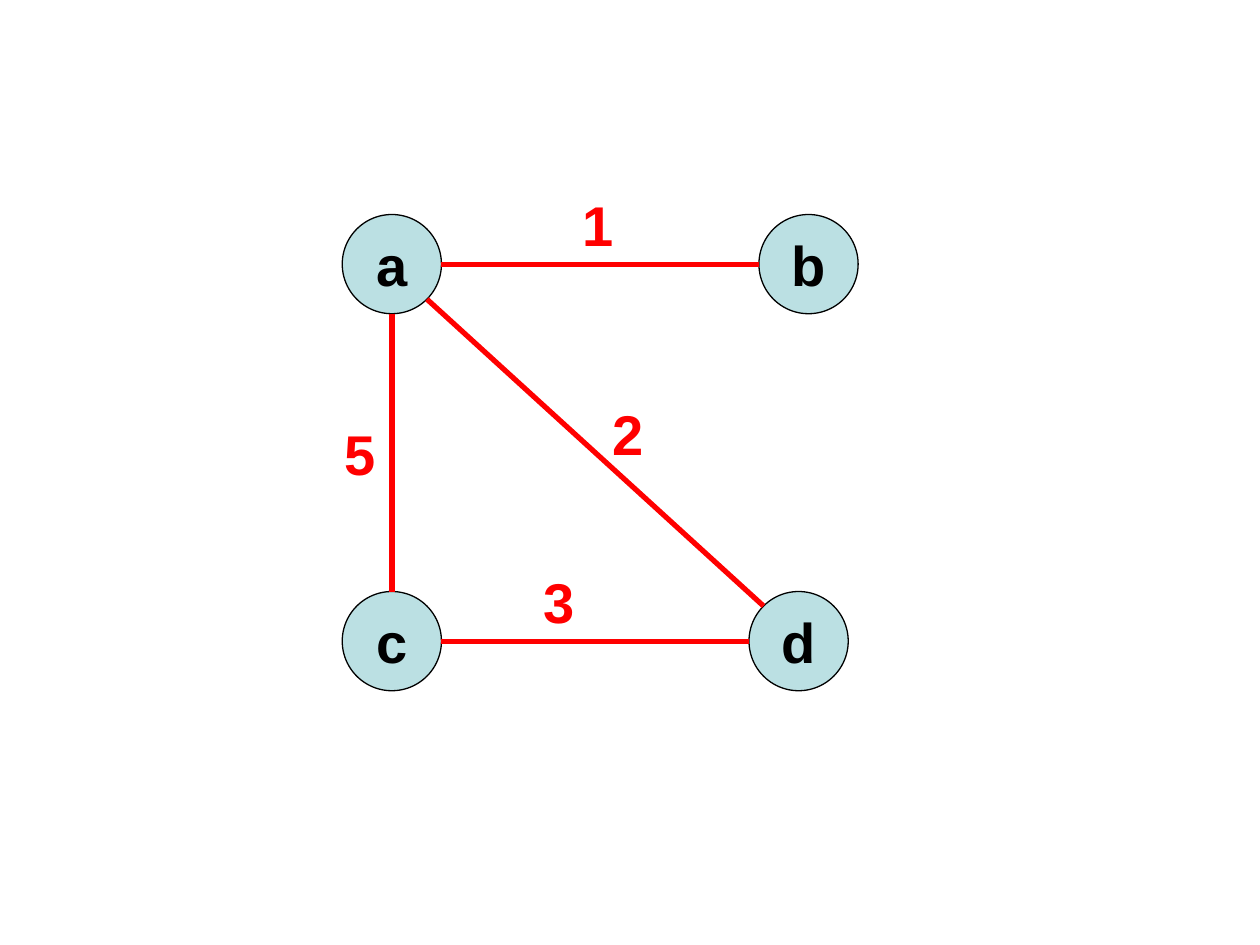
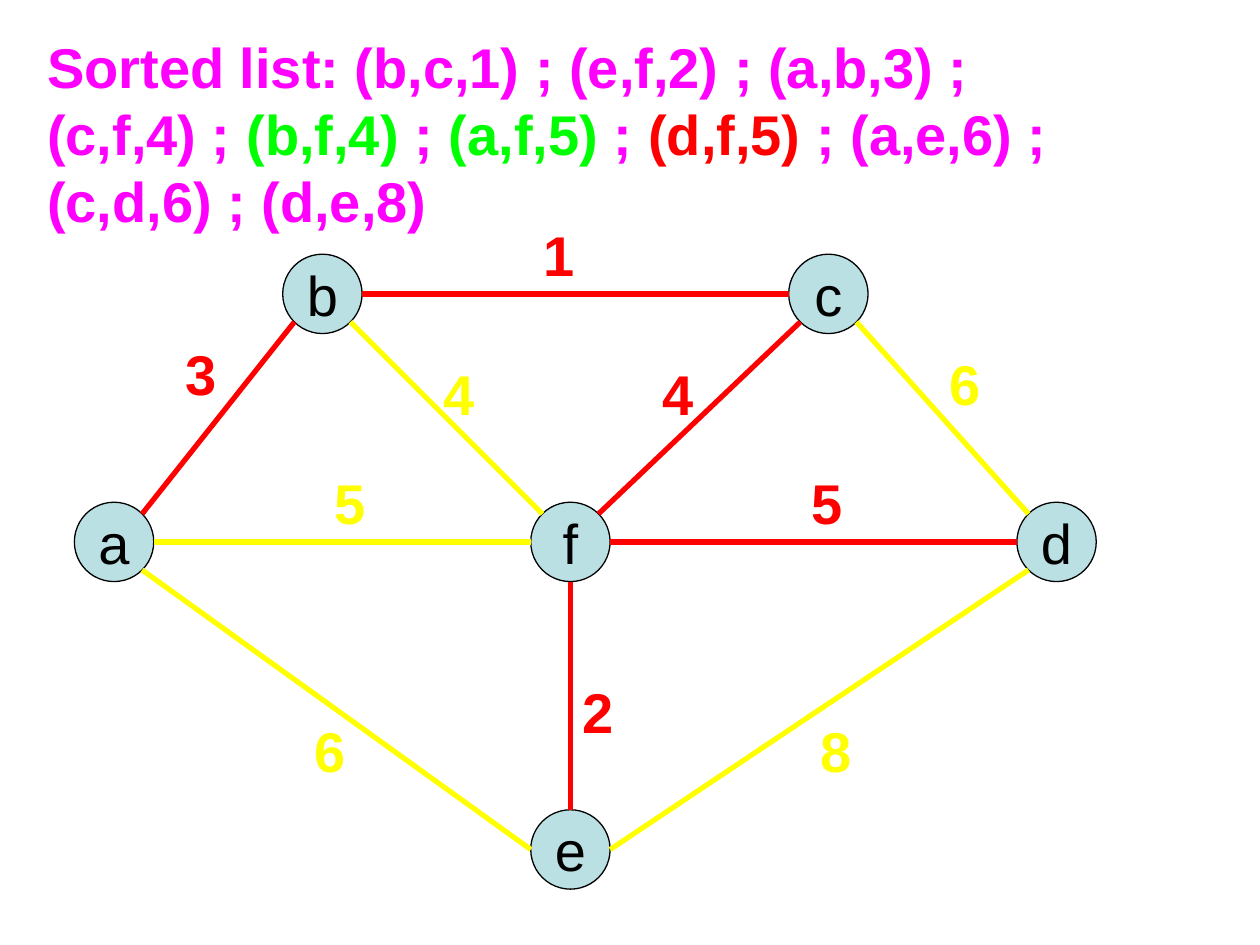
from math import sqrt

from lxml import etree
from pptx import Presentation
from pptx import util as u
from pptx.dml.color import RGBColor
from pptx.enum import shapes, text
from pptx.oxml.ns import qn

# Shared style
FONT = "Arial"
FONT_SIZE = u.Pt(32)
NODE_FILL = RGBColor(0xBB, 0xE0, 0xE3)
BLACK = RGBColor(0, 0, 0)
RED = RGBColor(0xFF, 0, 0)
YELLOW = RGBColor(0xFF, 0xFF, 0)
MAGENTA = RGBColor(0xFF, 0, 0xFF)
GREEN = RGBColor(0, 0xFF, 0)

# Grid of one-millimetre cells: 254 columns across the slide
SLIDE_WIDTH, SLIDE_HEIGHT = u.Inches(10), u.Inches(7.5)
CELL = SLIDE_WIDTH / 254
FIRST_ROW = 0.25
LABEL_HEIGHT = 16.25

# Points on a circle's rim, by compass direction
DIAGONAL = 1 / sqrt(2)
RIM = {
    "N": (0, -1), "S": (0, 1), "W": (-1, 0), "E": (1, 0),
    "NW": (-DIAGONAL, -DIAGONAL), "NE": (DIAGONAL, -DIAGONAL),
    "SW": (-DIAGONAL, DIAGONAL), "SE": (DIAGONAL, DIAGONAL),
}


def columns(count):
    return u.Emu(round(count * CELL))


def row_top(row):
    return columns(row + FIRST_ROW)


def format_run(run, color, bold):
    run.font.name = FONT
    run.font.size = FONT_SIZE
    run.font.bold = bold
    run.font.color.rgb = color


def add_node(slide, name, center, radius, bold):
    column, row = center
    node = slide.shapes.add_shape(
        shapes.MSO_SHAPE.OVAL, columns(column - radius), row_top(row - radius),
        columns(2 * radius), columns(2 * radius))
    node.shadow.inherit = False
    node.fill.solid()
    node.fill.fore_color.rgb = NODE_FILL
    node.line.color.rgb = BLACK
    node.line.width = u.Pt(0.75)
    frame = node.text_frame
    frame.text = name
    frame.word_wrap = False
    frame.vertical_anchor = text.MSO_ANCHOR.MIDDLE
    paragraph = frame.paragraphs[0]
    paragraph.alignment = text.PP_ALIGN.CENTER
    format_run(paragraph.runs[0], BLACK, bold)


def rim_point(center, radius, direction):
    across, down = RIM[direction]
    return (columns(center[0] + radius * across),
            row_top(center[1] + radius * down))


def add_edge(slide, start, end, color):
    edge = slide.shapes.add_connector(
        shapes.MSO_CONNECTOR.STRAIGHT, *start, *end)
    edge.line.color.rgb = color
    edge.line.width = u.Pt(3)
    etree.SubElement(edge._element.spPr, qn("a:effectLst"))


def add_text(slide, corner, width, height, parts):
    """Add a bold text box; parts is a list of (wording, color)."""
    box = slide.shapes.add_textbox(
        columns(corner[0]), row_top(corner[1]), columns(width), columns(height))
    frame = box.text_frame
    frame.word_wrap = True
    frame.auto_size = text.MSO_AUTO_SIZE.SHAPE_TO_FIT_TEXT
    for wording, color in parts:
        run = frame.paragraphs[0].add_run()
        run.text = wording
        format_run(run, color, True)
    return box


def add_graph(slide, nodes, edges, radius, label_width, bold=False):
    """Edges: start, rim side, end, rim side, weight, label corner, color."""
    for name, center in nodes.items():
        add_node(slide, name, center, radius, bold)
    for start, start_side, end, end_side, weight, corner, color in edges:
        add_edge(slide, rim_point(nodes[start], radius, start_side),
                 rim_point(nodes[end], radius, end_side), color)
        add_text(slide, corner, label_width, LABEL_HEIGHT, [(weight, color)])


def build_small_graph(slide):
    nodes = {"a": (79, 53), "b": (163, 53), "c": (79, 129), "d": (161, 129)}
    edges = [
        ("a", "S", "c", "N", "5", (67, 83), RED),
        ("a", "SE", "d", "NW", "2", (121, 79), RED),
        ("d", "W", "c", "E", "3", (107, 113), RED),
        ("a", "E", "b", "W", "1", (115, 37), RED),
    ]
    add_graph(slide, nodes, edges, radius=10, label_width=18, bold=True)


def build_sorted_graph(slide):
    nodes = {"b": (65, 59), "c": (167, 59), "a": (23, 109),
             "d": (213, 109), "f": (115, 109), "e": (115, 171)}
    edges = [
        ("f", "NW", "b", "SE", "4", (87, 71), YELLOW),
        ("f", "NE", "c", "SW", "4", (131, 71), RED),
        ("a", "NE", "b", "SW", "3", (35, 67), RED),
        ("c", "W", "b", "E", "1", (107, 43), RED),
        ("f", "E", "d", "W", "5", (161, 93), RED),
        ("a", "E", "f", "W", "5", (65, 93), YELLOW),
        ("e", "E", "d", "SW", "8", (163, 143), YELLOW),
        ("e", "W", "a", "SE", "6", (61, 143), YELLOW),
        ("e", "N", "f", "S", "2", (115, 135), RED),
        ("c", "SE", "d", "NW", "6", (189, 69), YELLOW),
    ]
    add_graph(slide, nodes, edges, radius=8, label_width=11.5)

    # Edges in order of weight
    sorted_list = add_text(slide, (7, 5), 224, 43, [
        ("Sorted list: (b,c,1) ; (e,f,2) ; (a,b,3) ; (c,f,4) ; ", MAGENTA),
        ("(b,f,4)", GREEN), (" ; ", MAGENTA),
        ("(a,f,5)", GREEN), (" ; ", MAGENTA),
        ("(d,f,5)", RED), (" ; (a,e,6) ; (c,d,6) ; (d,e,8)", MAGENTA),
    ])
    sorted_list.text_frame.margin_right = u.Inches(0.25)


def main():
    presentation = Presentation()
    presentation.slide_width = SLIDE_WIDTH
    presentation.slide_height = SLIDE_HEIGHT
    blank_layout = presentation.slide_layouts[6]
    for build in (build_small_graph, build_sorted_graph):
        build(presentation.slides.add_slide(blank_layout))
    presentation.save("out.pptx")


if __name__ == "__main__":
    main()
